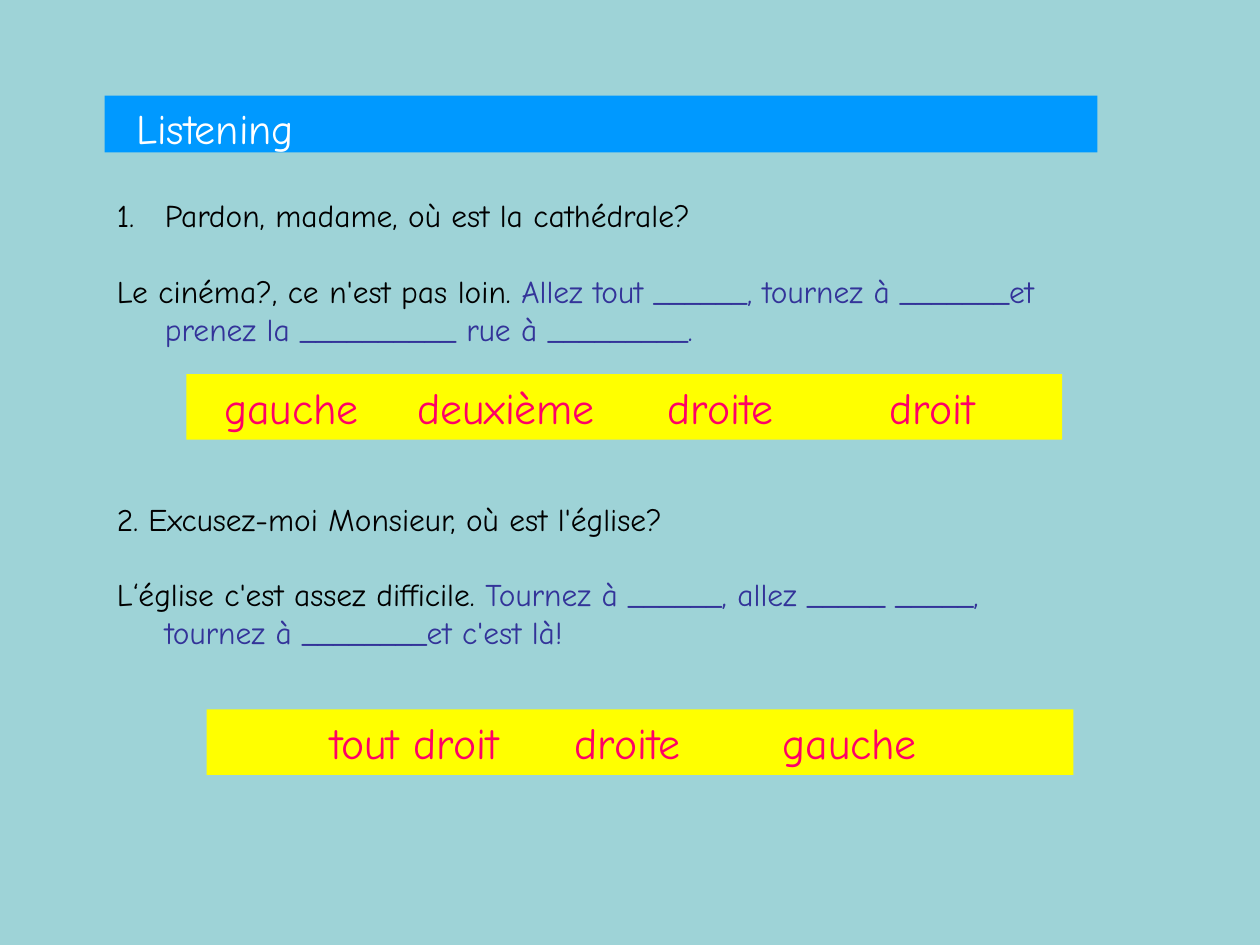
from pptx import Presentation
from pptx.dml.color import RGBColor
from pptx.enum.shapes import MSO_SHAPE as Shape
from pptx.enum.text import MSO_ANCHOR as Anchor, PP_ALIGN as Align
from pptx.oxml.ns import qn
from pptx.util import Inches, Pt
from lxml.etree import SubElement

FONT = "Comic Neue"
BLACK, INDIGO, WHITE, PINK = "000000", "333399", "FFFFFF", "FF0066"
BLUE, YELLOW, AQUA = "0099FF", "FFFF00", "9ED3D7"
LINE = 21.7

TITLE = "Listening"
DIALOGUE = [
    {"number": 1, "hang": 0.38, "lines_before": 0,
     "runs": [("Pardon, madame, où est la cathédrale?", BLACK)]},
    {"hang": 0.38, "lines_before": 1,
     "runs": [("Le cinéma?, ce n'est pas loin. ", BLACK),
              ("Allez tout ______, tournez à _______et prenez la "
               "__________ rue à _________.", INDIGO)]},
    {"number": 2, "hang": 0.25, "lines_before": 4,
     "runs": [("Excusez-moi Monsieur, où est l'église?", BLACK)]},
    {"hang": 0.38, "lines_before": 1,
     "runs": [("L‘église c'est assez difficile. ", BLACK),
              ("Tournez à ______, allez _____ _____, "
               "tournez à ________et c'est là!", INDIGO)]},
]
WORD_BANKS = [
    {"box": (1.48, 2.97, 6.95, 0.52), "inset": 0.3,
     "words": ["gauche", "deuxième", "droite", "droit"],
     "stops": [1.53, 3.52, 5.28]},
    {"box": (1.64, 5.63, 6.88, 0.52), "inset": 0.98,
     "words": ["tout droit", "droite", "gauche"],
     "stops": [1.94, 3.59]},
]


def color(value):
    return RGBColor.from_string(value)


def add_run(paragraph, text, size, ink):
    run = paragraph.add_run()
    run.text = text
    run.font.name = FONT
    run.font.size = Pt(size)
    run.font.color.rgb = color(ink)


def set_frame(frame, anchor, left, bottom):
    frame.word_wrap = True
    frame.vertical_anchor = anchor
    frame.margin_left, frame.margin_right = Inches(left), Inches(0.1)
    frame.margin_top, frame.margin_bottom = Inches(0.05), Inches(bottom)


def add_bar(slide, box, fill, inset, bottom):
    bar = slide.shapes.add_shape(Shape.RECTANGLE, *map(Inches, box))
    bar.shadow.inherit = False
    bar.fill.solid()
    bar.fill.fore_color.rgb = color(fill)
    bar.line.fill.background()
    set_frame(bar.text_frame, Anchor.MIDDLE, inset, bottom)
    paragraph = bar.text_frame.paragraphs[0]
    paragraph.alignment = Align.LEFT
    return paragraph


def set_hanging(paragraph, hang, number=None):
    properties = paragraph._p.get_or_add_pPr()
    properties.set("marL", str(Inches(hang)))
    properties.set("indent", str(-Inches(hang)))
    if number:
        SubElement(properties, qn("a:buAutoNum"),
                   type="arabicPeriod", startAt=str(number))


def set_tabs(paragraph, stops):
    tabs = SubElement(paragraph._p.get_or_add_pPr(), qn("a:tabLst"))
    for stop in stops:
        SubElement(tabs, qn("a:tab"), pos=str(Inches(stop)), algn="l")


def add_dialogue(slide):
    box = slide.shapes.add_textbox(*map(Inches, (0.83, 1.51, 7.85, 4)))
    frame = box.text_frame
    set_frame(frame, Anchor.TOP, 0.1, 0.05)
    for index, part in enumerate(DIALOGUE):
        paragraph = frame.add_paragraph() if index else frame.paragraphs[0]
        set_hanging(paragraph, part["hang"], part.get("number"))
        if part["lines_before"]:
            paragraph.space_before = Pt(LINE * part["lines_before"])
        for text, ink in part["runs"]:
            add_run(paragraph, text, 18, ink)


def main():
    deck = Presentation()
    deck.slide_width, deck.slide_height = Inches(10), Inches(7.5)
    slide = deck.slides.add_slide(deck.slide_layouts[6])
    slide.background.fill.solid()
    slide.background.fill.fore_color.rgb = color(AQUA)

    add_dialogue(slide)
    heading = add_bar(slide, (0.83, 0.76, 7.88, 0.45), BLUE, 0.25, 0)
    add_run(heading, TITLE, 24, WHITE)
    for bank in WORD_BANKS:
        choices = add_bar(slide, bank["box"], YELLOW, bank["inset"], 0.05)
        set_tabs(choices, bank["stops"])
        add_run(choices, "\t".join(bank["words"]), 25, PINK)

    deck.save("out.pptx")


if __name__ == "__main__":
    main()
